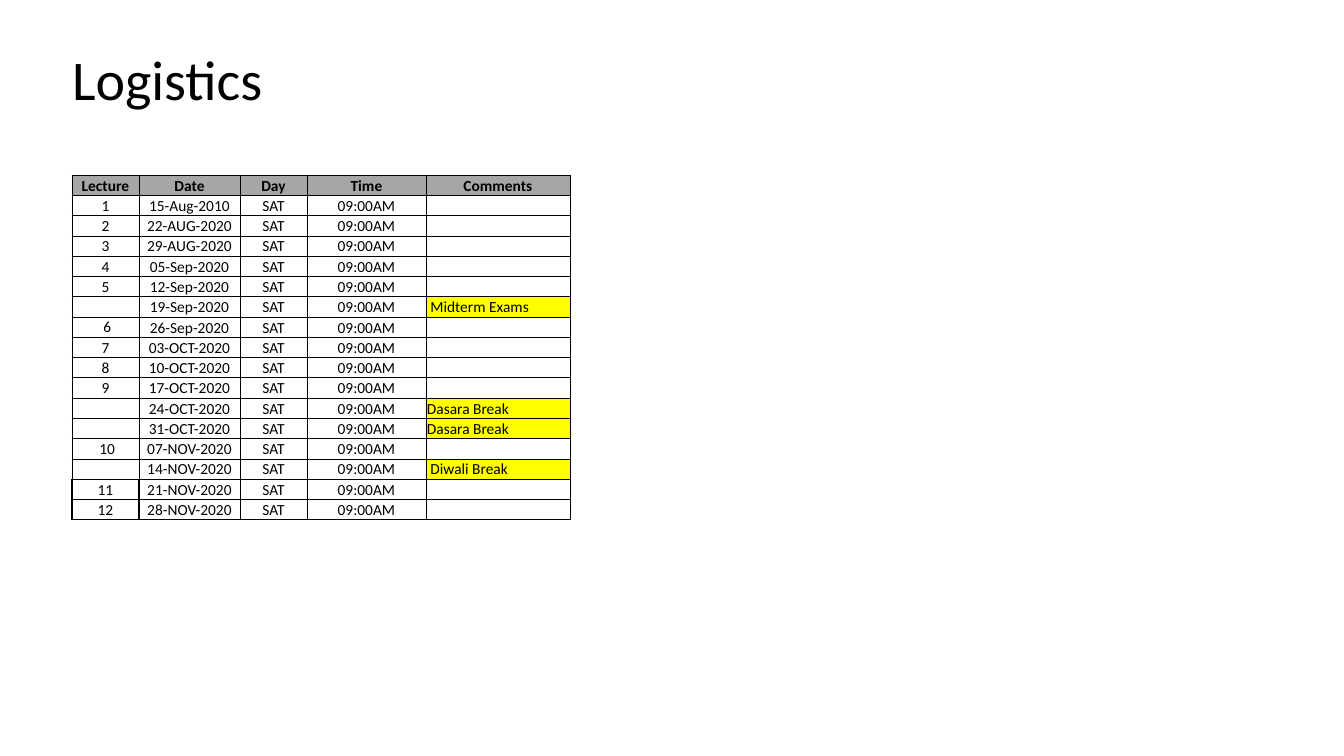
import pptx
import pptx.dml.color
import pptx.enum.text
import pptx.oxml
import pptx.oxml.ns
import pptx.util
from lxml import etree

PX = 914400 / 100.8
FONT = "Calibri"
COLORS = {"text": "000000", "border": "000000", "header": "A6A6A6", "break": "FFFF00"}
ALIGN = pptx.enum.text.PP_ALIGN
ANCHOR = pptx.enum.text.MSO_ANCHOR

HEADER = ("Lecture", "Date", "Day", "Time", "Comments")
SESSIONS = (  # lecture, date, comment
    ("1", "15-Aug-2010", ""),
    ("2", "22-AUG-2020", ""),
    ("3", "29-AUG-2020", ""),
    ("4", "05-Sep-2020", ""),
    ("5", "12-Sep-2020", ""),
    ("", "19-Sep-2020", " Midterm Exams"),
    (" 6", "26-Sep-2020", ""),
    ("7", "03-OCT-2020", ""),
    ("8", "10-OCT-2020", ""),
    ("9", "17-OCT-2020", ""),
    ("", "24-OCT-2020", "Dasara Break"),
    ("", "31-OCT-2020", "Dasara Break"),
    (" 10", "07-NOV-2020", ""),
    ("", "14-NOV-2020", " Diwali Break"),
    ("11", "21-NOV-2020", ""),
    ("12", "28-NOV-2020", ""),
)
COLUMN_WIDTHS = (67, 101, 67, 119, 144)
LECTURE, DATE, COMMENTS = 0, 1, 4
FIRST_HEAVY_ROW = 15


def px(n):
    return pptx.util.Emu(round(n * PX))


def rgb(name):
    return pptx.dml.color.RGBColor.from_string(COLORS[name])


def format_font(font, size, bold=False):
    font.name = FONT
    font.size = pptx.util.Pt(size)
    font.bold = bold
    font.color.rgb = rgb("text")


def add_title(s, box, text):
    sp = s.shapes.title
    sp.left, sp.top, sp.width, sp.height = map(px, box)
    tf = sp.text_frame
    tf.text = text
    tf.word_wrap = False
    tf.auto_size = pptx.enum.text.MSO_AUTO_SIZE.SHAPE_TO_FIT_TEXT
    tf.vertical_anchor = ANCHOR.TOP
    p = tf.paragraphs[0]
    p.alignment = ALIGN.LEFT
    p.line_spacing = 1.0
    format_font(p.runs[0].font, 40)


def border_width(row, col, side):
    """Points; the last lecture cells have a heavier outline."""
    heavy = row >= FIRST_HEAVY_ROW and (col == LECTURE or (col == DATE and side == "L"))
    meets_heavy = row == FIRST_HEAVY_ROW - 1 and col == LECTURE and side == "B"
    return 1 if heavy or meets_heavy else 0.5


def set_borders(cell, row, col):
    qn = pptx.oxml.ns.qn
    tc_pr = cell._tc.get_or_add_tcPr()
    for side in "LRTB":
        width = pptx.util.Pt(border_width(row, col, side))
        ln = etree.SubElement(tc_pr, qn(f"a:ln{side}"), w=str(width))
        fill = etree.SubElement(ln, qn("a:solidFill"))
        etree.SubElement(fill, qn("a:srgbClr"), val=COLORS["border"])


def fill_cell(cell, row, col, text):
    cell.margin_left = cell.margin_right = cell.margin_top = px(1)
    cell.margin_bottom = 0
    centred_row = col == LECTURE and row > 0
    cell.vertical_anchor = ANCHOR.MIDDLE if centred_row else ANCHOR.BOTTOM
    set_borders(cell, row, col)

    is_break = col == COMMENTS and row > 0
    if row == 0 or (is_break and text):
        cell.fill.solid()
        cell.fill.fore_color.rgb = rgb("header" if row == 0 else "break")
    else:
        cell.fill.background()

    p = cell.text_frame.paragraphs[0]
    p.text = text
    p.alignment = ALIGN.LEFT if is_break else ALIGN.CENTER
    for r in p.runs:
        format_font(r.font, 11, bold=row == 0)
    # Keeps empty cells from stretching their row
    etree.SubElement(p._p, pptx.oxml.ns.qn("a:endParaRPr"), sz="1100")


def add_schedule(s, box):
    rows = [HEADER]
    rows += [(lecture, date, "SAT", "09:00AM", note) for lecture, date, note in SESSIONS]
    table = s.shapes.add_table(len(rows), len(HEADER), *map(px, box)).table
    table.first_row = table.horz_banding = False
    for column, width in zip(table.columns, COLUMN_WIDTHS):
        column.width = px(width)
    for i, texts in enumerate(rows):
        table.rows[i].height = px(box[3] / len(rows))
        for j, text in enumerate(texts):
            fill_cell(table.cell(i, j), i, j, text)


def main():
    prs = pptx.Presentation()
    prs.slide_width, prs.slide_height = px(1344), px(756)
    s = prs.slides.add_slide(prs.slide_layouts[5])
    add_title(s, (62, 39, 213, 78), "Logistics")
    add_schedule(s, (72, 175, sum(COLUMN_WIDTHS), 345))
    prs.save("out.pptx")


if __name__ == "__main__":
    main()
